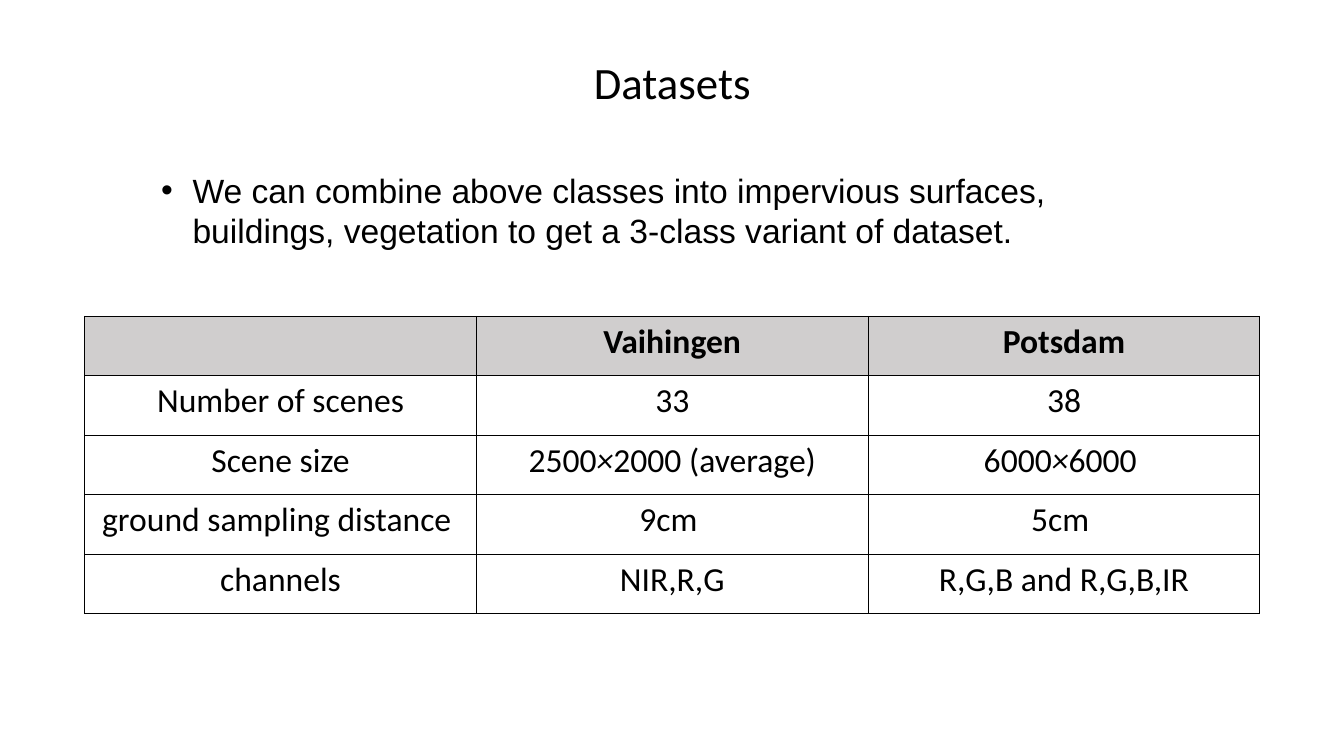
import pptx
import pptx.util
import pptx.dml.color
import pptx.enum.text
import pptx.oxml.ns
import lxml.etree

Pt = pptx.util.Pt
RGB = pptx.dml.color.RGBColor.from_string
CENTER = pptx.enum.text.PP_ALIGN.CENTER

TITLE = "Datasets"
BULLET = ("We can combine above classes into impervious surfaces, buildings, "
          "vegetation to get a 3-class variant of dataset.")
ROWS = [
    ("", "Vaihingen", "Potsdam"),
    ("Number of scenes", "33", "38"),
    ("Scene size", "2500×2000 (average)", "6000×6000 "),
    ("ground sampling distance ", "9cm ", "5cm "),
    ("channels", "NIR,R,G", "R,G,B and R,G,B,IR"),
]

THEME = {
    "ink": "000000", "header": "D0CECE",
    "font": "Calibri", "bullet_font": "Arial",
    "title_size": 32, "body_size": 24, "border": 1,
}
LEFT, WIDTH = 60.5, 839.5
TABLE_TOP, ROW_HEIGHT = 226, 42.5
BULLET_INDENT = 22.5


def add_child(parent, tag, **attributes):
    return lxml.etree.SubElement(parent, pptx.oxml.ns.qn(tag), attributes)


def style(font, size, name=THEME["font"], bold=False, italic=False):
    font.size, font.name, font.bold, font.italic = Pt(size), name, bold, italic
    font.color.rgb = RGB(THEME["ink"])


def add_text(s, text, left, top, width, height):
    tf = s.shapes.add_textbox(Pt(left), Pt(top), Pt(width), Pt(height)).text_frame
    tf.word_wrap = True
    tf.text = text
    return tf.paragraphs[0]


def add_bullet(p):
    pPr = p._p.get_or_add_pPr()
    pPr.set("marL", str(Pt(BULLET_INDENT)))
    pPr.set("indent", str(-Pt(BULLET_INDENT)))
    add_child(pPr, "a:buFont", typeface="Arial")
    add_child(pPr, "a:buChar", char="•")


def set_borders(cell):
    tcPr = cell._tc.get_or_add_tcPr()
    for side in ("a:lnL", "a:lnR", "a:lnT", "a:lnB"):
        line = add_child(tcPr, side, w=str(Pt(THEME["border"])))
        add_child(add_child(line, "a:solidFill"), "a:srgbClr", val=THEME["ink"])


def fill_cell(cell, text, header):
    """Write one cell, with the multiplication sign in italics."""
    set_borders(cell)
    if header:
        cell.fill.solid()
        cell.fill.fore_color.rgb = RGB(THEME["header"])
    else:
        cell.fill.background()
    p = cell.text_frame.paragraphs[0]
    p.alignment = CENTER
    for part in text.partition("×"):
        if part:
            r = p.add_run()
            r.text = part
            style(r.font, THEME["body_size"], bold=header, italic=part == "×")


def add_dataset_table(s):
    columns = len(ROWS[0])
    table = s.shapes.add_table(len(ROWS), columns, Pt(LEFT), Pt(TABLE_TOP),
                               Pt(WIDTH), Pt(ROW_HEIGHT * len(ROWS))).table
    table.horz_banding = False
    for column in table.columns:
        column.width = Pt(WIDTH / columns)
    for i, row in enumerate(ROWS):
        table.rows[i].height = Pt(ROW_HEIGHT)
        for j, text in enumerate(row):
            fill_cell(table.cell(i, j), text, header=i == 0)


def main():
    prs = pptx.Presentation()
    prs.slide_width, prs.slide_height = Pt(960), Pt(540)
    s = prs.slides.add_slide(prs.slide_layouts[6])

    p = add_text(s, TITLE, LEFT, 35.5, WIDTH, 46)
    p.alignment = CENTER
    style(p.runs[0].font, THEME["title_size"])

    p = add_text(s, BULLET, 108, 117.5, 720, 124)
    add_bullet(p)
    style(p.runs[0].font, THEME["body_size"], THEME["bullet_font"])

    add_dataset_table(s)
    prs.save("out.pptx")


if __name__ == "__main__":
    main()
